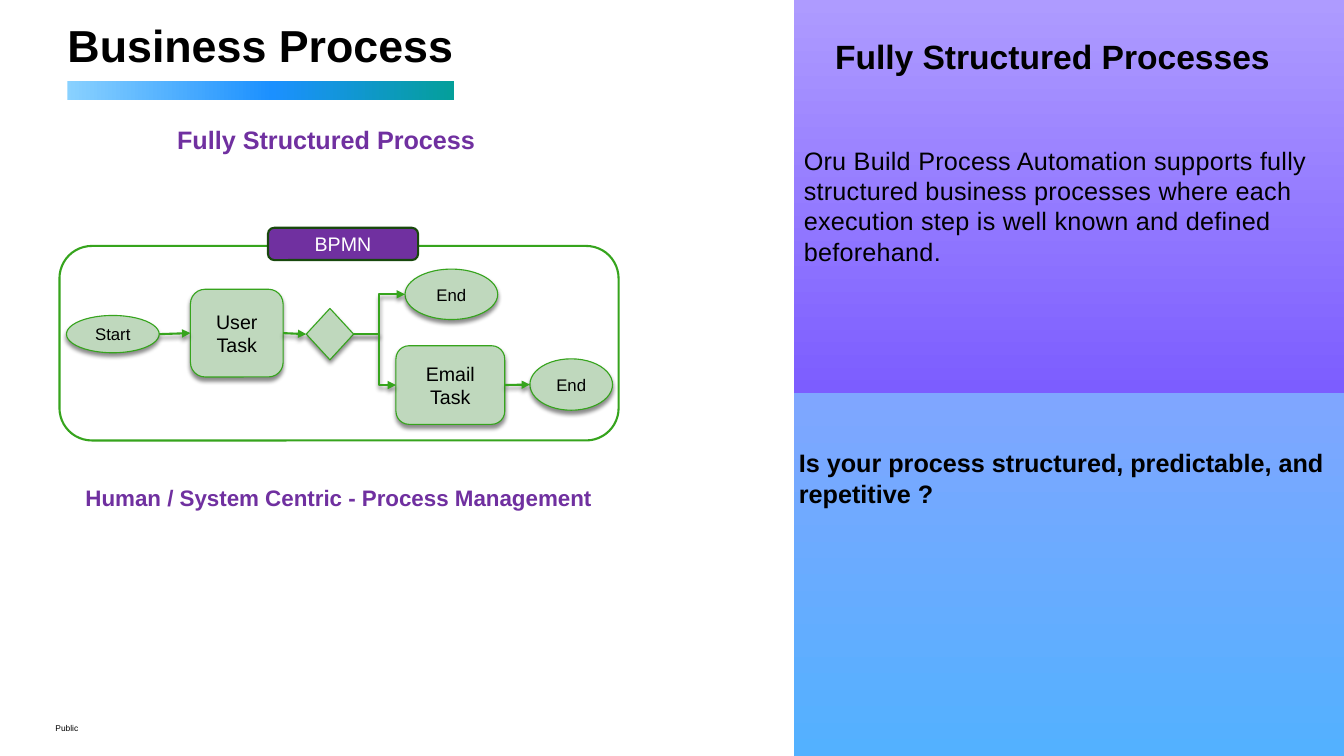
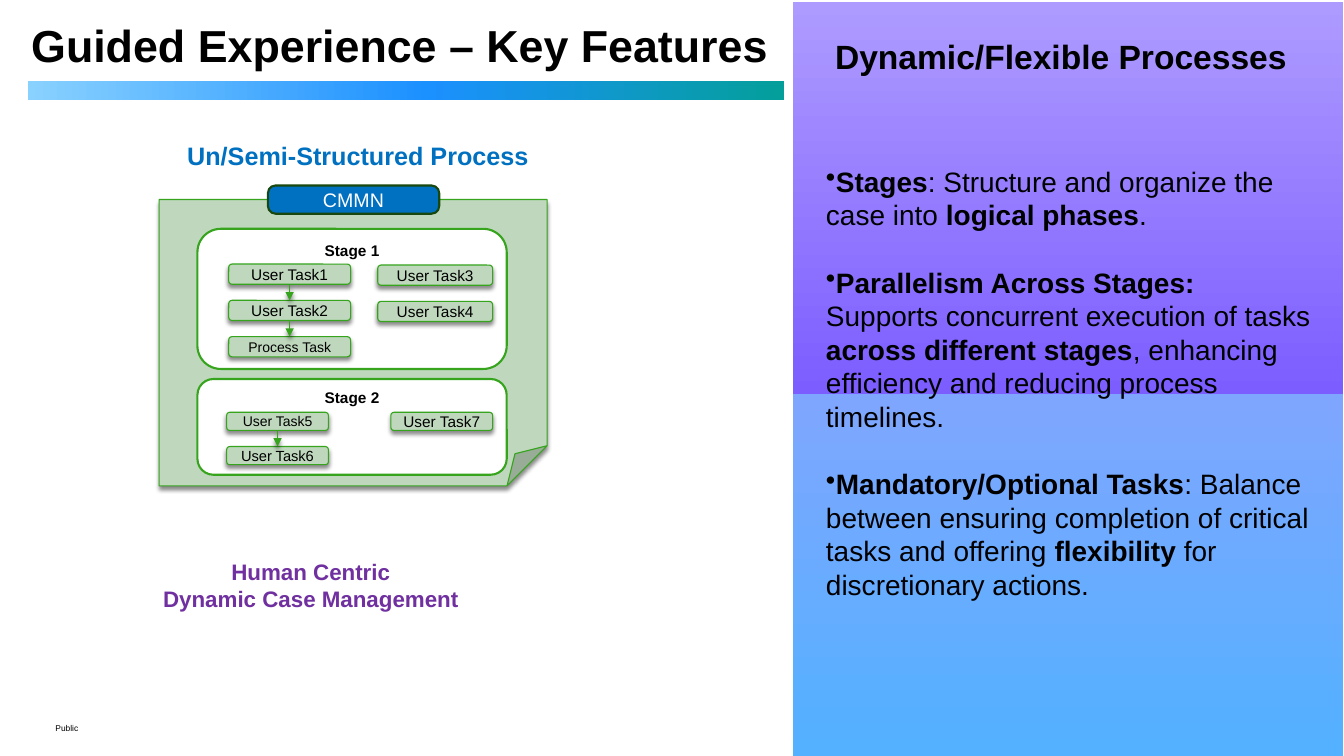
from lxml import etree
from pptx import Presentation
from pptx.dml.color import RGBColor
from pptx.enum.shapes import MSO_CONNECTOR, MSO_SHAPE
from pptx.enum.text import MSO_ANCHOR, PP_ALIGN
from pptx.oxml.ns import qn
from pptx.util import Inches, Pt

RECT, ROUND, OVAL = MSO_SHAPE.RECTANGLE, MSO_SHAPE.ROUNDED_RECTANGLE, MSO_SHAPE.OVAL
DIAMOND, FOLDED = MSO_SHAPE.DIAMOND, MSO_SHAPE.FOLDED_CORNER
STRAIGHT, ELBOW = MSO_CONNECTOR.STRAIGHT, MSO_CONNECTOR.ELBOW
TOP, MIDDLE = MSO_ANCHOR.TOP, MSO_ANCHOR.MIDDLE
LEFT, CENTER = PP_ALIGN.LEFT, PP_ALIGN.CENTER

FONT = "Arial"
BLACK, WHITE = "000000", "FFFFFF"
PURPLE, BLUE = "7030A0", "0070C0"
GREEN, PALE_GREEN, DARK_GREEN = "36A41D", "BFD8BD", "18480D"
BAR_STOPS = [(0, "89D1FF"), (53, "1B90FF"), (100, "049F9A")]
PANEL_STOPS = [(0, "53B1FF"), (48, "7FA6FF"), (48, "7C5DFF"), (100, "AE9BFF")]
THIN, THICK = 0.79, 1.5
DEFAULT_INSETS, NO_INSETS = (0.1, 0.05, 0.1, 0.05), (0, 0, 0, 0)

FRAMES = [
    dict(title="Business Process", title_box=(0.67, 0.07, 6.94, 0.74),
         bar=(0.67, 0.8, 3.84, 0.19), panel=(7.88, 0, 5.46, 7.5),
         heading="Fully Structured Processes"),
    dict(title="Guided Experience – Key Features", title_box=(0.31, 0.07, 7.57, 0.74),
         bar=(0.28, 0.8, 7.5, 0.19), panel=(7.87, 0.02, 5.46, 7.48),
         heading="Dynamic/Flexible Processes"),
]

SUPPORT = ("Oru Build Process Automation supports fully structured business processes "
           "where each execution step is well known and defined beforehand.")
QUESTION = "Is your process structured, predictable, and repetitive ?"

# name: (shape, box, label, size)
FLOW_NODES = {
    "start": (OVAL, (0.66, 3.13, 0.92, 0.37), "Start", 12),
    "user": (ROUND, (1.89, 2.87, 0.92, 0.87), "User Task", 14),
    "gateway": (DIAMOND, (3.04, 3.06, 0.47, 0.51), "", 12),
    "end_top": (OVAL, (4.02, 2.67, 0.92, 0.5), "End", 12),
    "email": (ROUND, (3.93, 3.43, 1.08, 0.78), "Email Task", 14),
    "end_low": (OVAL, (5.26, 3.56, 0.82, 0.51), "End", 12),
}
# from, to, connector, bend position
FLOW_LINKS = [
    ("start", "user", STRAIGHT, None),
    ("user", "gateway", STRAIGHT, None),
    ("gateway", "end_top", ELBOW, 0.5),
    ("gateway", "email", ELBOW, 0.6),
    ("email", "end_low", STRAIGHT, None),
]

STAGES = [("Stage 1", (1.96, 2.27, 3.07, 1.39)), ("Stage 2", (1.96, 3.76, 3.07, 0.95))]
# first box, pitch, linked by arrows, (label, size) from top to bottom
TASK_COLUMNS = [
    ((2.27, 2.62, 1.21, 0.2), 0.36, True,
     [("User Task1", 11), ("User Task2", 11), ("Process Task", 10)]),
    ((3.75, 2.63, 1.14, 0.2), 0.36, False, [("User Task3", 11), ("User Task4", 11)]),
    ((2.25, 4.09, 1.01, 0.18), 0.34, True, [("User Task5", 10), ("User Task6", 10.5)]),
    ((3.88, 4.09, 1.01, 0.18), 0.34, False, [("User Task7", 11)]),
]

# one list per bullet, of (text, bold) runs
FEATURES = [
    [("Stages", True), (": Structure and organize the case into ", False),
     ("logical phases", True), (".", False)],
    [("Parallelism Across Stages:\n", True),
     ("Supports concurrent execution of tasks ", False), ("across different stages", True),
     (", enhancing efficiency and reducing process timelines.", False)],
    [("Mandatory/Optional Tasks", True),
     (": Balance between ensuring completion of critical tasks and offering ", False),
     ("flexibility", True), (" for discretionary actions.", False)],
]


def rgb(color):
    return RGBColor.from_string(color)


def inches(values):
    return [Inches(v) for v in values]


def write(s, paragraphs, size, color=BLACK, bold=False, align=LEFT, anchor=TOP,
          insets=DEFAULT_INSETS, gap=0, bullet=None, spacing=None):
    """Fill a shape with paragraphs, each a string or a list of (text, bold) runs."""
    tf = s.text_frame
    margins = zip(("margin_left", "margin_top", "margin_right", "margin_bottom"), inches(insets))
    for name, value in [("word_wrap", True), ("vertical_anchor", anchor), *margins]:
        setattr(tf, name, value)
    for i, runs in enumerate(paragraphs):
        p = tf.add_paragraph() if i else tf.paragraphs[0]
        p.alignment = align
        if i and gap:
            p.space_before = Pt(gap)
        if bullet:
            pPr = p._p.get_or_add_pPr()
            pPr.set("marL", "0")
            pPr.set("indent", "0")
            etree.SubElement(pPr, qn("a:buChar"), char=bullet)
        for text, run_bold in [(runs, bold)] if isinstance(runs, str) else runs:
            r = p.add_run()
            r.text = text.rstrip("\n")
            for name, value in dict(name=FONT, size=Pt(size), bold=run_bold).items():
                setattr(r.font, name, value)
            r.font.color.rgb = rgb(color)
            if spacing:
                r._r.get_or_add_rPr().set("spc", str(round(spacing * 100)))
            if text.endswith("\n"):
                p.add_line_break()


def add_text(slide, box, paragraphs, size, **style):
    write(slide.shapes.add_textbox(*inches(box)), paragraphs, size, **style)


def add_shadow(spPr):
    effects = spPr.find(qn("a:effectLst"))
    if effects is None:
        effects = etree.SubElement(spPr, qn("a:effectLst"))
    shadow = etree.SubElement(effects, qn("a:outerShdw"), blurRad=str(Pt(3)),
                              dist=str(Pt(2.4)), dir="5400000", rotWithShape="0")
    color = etree.SubElement(shadow, qn("a:srgbClr"), val=BLACK)
    etree.SubElement(color, qn("a:alpha"), val="45000")


def set_guide(spPr, name, share):
    """Set an adjustment of a preset outline, as a share of 1."""
    guides = spPr.find(qn("a:prstGeom")).find(qn("a:avLst"))
    etree.SubElement(guides, qn("a:gd"), name=name, fmla=f"val {round(share * 100000)}")


def add_box(slide, kind, box, fill, line=GREEN, width=THIN, adj=None, shadow=False):
    s = slide.shapes.add_shape(kind, *inches(box))
    s.shadow.inherit = False
    s.fill.solid()
    s.fill.fore_color.rgb = rgb(fill)
    s.line.color.rgb = rgb(line)
    s.line.width = Pt(width)
    if adj is not None:
        set_guide(s._element.spPr, "adj", adj)
    if shadow:
        add_shadow(s._element.spPr)
    return s


def add_gradient(slide, box, stops, angle):
    """Add a borderless rectangle; the angle runs counter-clockwise."""
    s = slide.shapes.add_shape(RECT, *inches(box))
    s.shadow.inherit = False
    s.line.fill.background()
    s.fill.gradient()
    s.fill.gradient_angle = angle
    stop_list = s._element.spPr.find(qn("a:gradFill")).find(qn("a:gsLst"))
    for old in list(stop_list):
        stop_list.remove(old)
    for position, color in stops:
        stop = etree.SubElement(stop_list, qn("a:gs"), pos=str(position * 1000))
        etree.SubElement(stop, qn("a:srgbClr"), val=color)


def add_arrow(slide, start, end, width, kind=STRAIGHT, bend=None):
    c = slide.shapes.add_connector(kind, *inches((*start, *end)))
    c.line.color.rgb = rgb(GREEN)
    c.line.width = Pt(width)
    spPr = c._element.spPr
    etree.SubElement(spPr.find(qn("a:ln")), qn("a:tailEnd"), type="triangle")
    if bend is not None:
        set_guide(spPr, "adj1", bend)
    add_shadow(spPr)


def add_node(slide, kind, box, label, size, insets=DEFAULT_INSETS):
    s = add_box(slide, kind, box, PALE_GREEN, shadow=True)
    if label:
        write(s, [label], size, align=CENTER, anchor=MIDDLE, insets=insets)


def add_badge(slide, box, label, fill, adj):
    s = add_box(slide, ROUND, box, fill, DARK_GREEN, THICK, adj)
    write(s, [label], 14, WHITE, align=CENTER, anchor=MIDDLE, insets=NO_INSETS)


def add_frame(prs, frame):
    """Add a slide with the title, bar, side panel and footer."""
    slide = prs.slides.add_slide(prs.slide_layouts[6])
    add_text(slide, (0.55, 7.15, 11.11, 0.15), ["Public"], 6, anchor=MIDDLE, insets=NO_INSETS)
    add_gradient(slide, frame["panel"], PANEL_STOPS, 90)
    add_text(slide, frame["title_box"], [frame["title"]], 32, bold=True,
             anchor=MIDDLE, insets=NO_INSETS)
    add_gradient(slide, frame["bar"], BAR_STOPS, 0)
    add_text(slide, (8.19, 0.31, 4.84, 0.5), [frame["heading"]], 24, bold=True)
    return slide


def add_flow(slide):
    add_box(slide, ROUND, (0.59, 2.44, 5.55, 1.93), WHITE, width=THICK)
    for node in FLOW_NODES.values():
        add_node(slide, *node)
    for source, target, kind, bend in FLOW_LINKS:
        x1, y1, w1, h1 = FLOW_NODES[source][1]
        x2, y2, _, h2 = FLOW_NODES[target][1]
        add_arrow(slide, (x1 + w1, y1 + h1 / 2), (x2, y2 + h2 / 2), THICK, kind, bend)
    add_badge(slide, (2.66, 2.26, 1.49, 0.32), "BPMN", PURPLE, 0.19)


def add_case(slide):
    add_box(slide, FOLDED, (1.58, 1.98, 3.85, 2.84), PALE_GREEN, adj=0.14, shadow=True)
    for label, box in STAGES:
        s = add_box(slide, ROUND, box, WHITE, width=THICK)
        write(s, [label], 11, bold=True, align=CENTER)
    for (x, y, w, h), pitch, linked, tasks in TASK_COLUMNS:
        for i, (label, size) in enumerate(tasks):
            top = y + i * pitch
            add_node(slide, ROUND, (x, top, w, h), label, size, NO_INSETS)
            if linked and i:
                middle = x + w / 2
                add_arrow(slide, (middle, top - pitch + h), (middle, top), THIN)
    add_badge(slide, (2.66, 1.84, 1.7, 0.28), "CMMN", BLUE, 0.27)


def main():
    prs = Presentation()
    prs.slide_width, prs.slide_height = Inches(13.34), Inches(7.5)
    structured, dynamic = [add_frame(prs, frame) for frame in FRAMES]

    add_text(structured, (1.66, 1.18, 3.84, 0.51), ["Fully Structured Process"], 18,
             color=PURPLE, bold=True)
    add_flow(structured)
    add_text(structured, (0.75, 4.75, 5.55, 0.37),
             ["Human / System Centric - Process Management"], 16, color=PURPLE, bold=True)
    add_text(structured, (7.88, 1.44, 5.46, 1.21), [SUPPORT], 18,
             insets=(0.1, 0, 0, 0), spacing=0.2)
    add_text(structured, (7.93, 4.44, 5.4, 0.61), [QUESTION], 18, bold=True, insets=NO_INSETS)

    add_text(dynamic, (1.76, 1.34, 3.99, 0.42), ["Un/Semi-Structured Process"], 18,
             color=BLUE, bold=True)
    add_case(dynamic)
    add_text(dynamic, (1.15, 5.49, 3.87, 0.64), ["Human Centric", "Dynamic Case Management"], 16,
             color=PURPLE, bold=True, align=CENTER)
    add_text(dynamic, (8.1, 1.58, 5.16, 4.5), FEATURES, 20, gap=24, bullet="•")

    prs.save("out.pptx")


if __name__ == "__main__":
    main()
